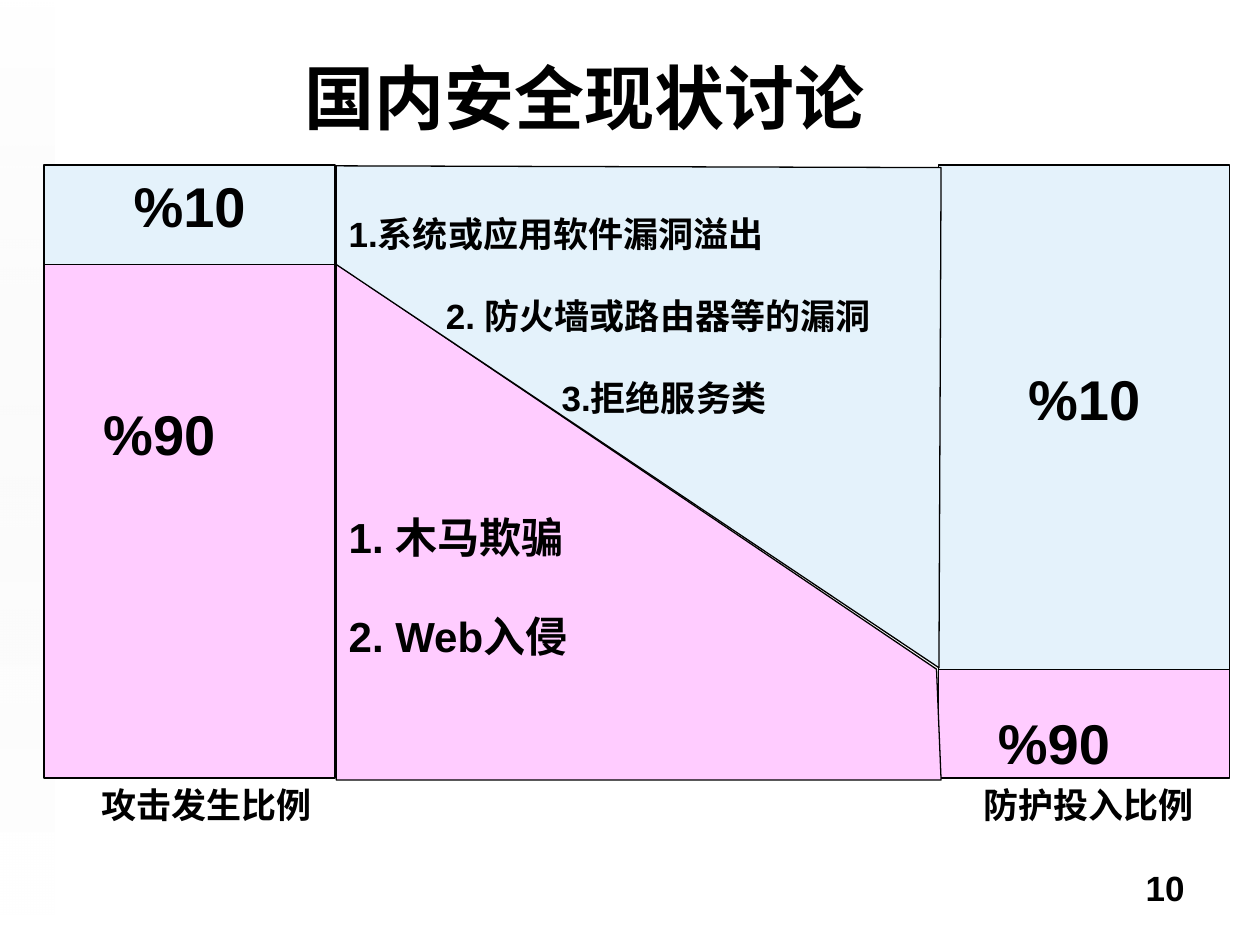
from pptx import Presentation
from pptx.dml.color import RGBColor
from pptx.enum.shapes import MSO_SHAPE
from pptx.enum.text import MSO_ANCHOR, PP_ALIGN
from pptx.oxml.ns import qn
from pptx.util import Pt
from lxml import etree

RECT = MSO_SHAPE.RECTANGLE
TOP, MIDDLE = MSO_ANCHOR.TOP, MSO_ANCHOR.MIDDLE
LEFT, CENTER, RIGHT = PP_ALIGN.LEFT, PP_ALIGN.CENTER, PP_ALIGN.RIGHT
HEX = {"ink": "000000", "blue": "E4F2FB", "pink": "FFCCFF",
       "gray": "EAEAEA", "white": "FFFFFF"}
RGB = {name: RGBColor.from_string(code) for name, code in HEX.items()}

TITLE = "国内安全现状讨论"
PAGE = "10"
HEAD, FOOT = 94.3, 444.6      # top and bottom of both columns
WIDE = 166.3
# left edge, split height, then (label, align, indent, top inset) per part
COLUMNS = [
    (25.2, 151.2, [("%10", CENTER, 0, 3.6), ("%90", LEFT, 26.7, 77.2)]),
    (536.4, 382.6, [("%10", CENTER, 0, 114), ("%90", LEFT, 26.7, 22)]),
]
CAPTIONS = [("攻击发生比例", 118), ("防护投入比例", 622)]   # text, centre
# fill, corners, text size, top inset, gap, (text, indent) lines
BANDS = [
    ("pink", [(192.2, 150.8), (192.2, 445.7), (537.8, 445.7), (535.2, 382.4)],
     24, 141.6, 27.6, [("1. 木马欺骗", 0), ("2. Web入侵", 0)]),
    ("blue", [(192.2, 94.8), (537.8, 95.8), (536.6, 381.6), (192.2, 151.2)],
     20, 26.6, 23, [("1.系统或应用软件漏洞溢出", 0),
                    ("2. 防火墙或路由器等的漏洞", 55.5),
                    ("3.拒绝服务类", 121.7)]),
]


def write(shape, lines, size, align=LEFT, top=3.6, gap=0, anchor=TOP):
    """Fill a shape with (text, indent) lines, gap points apart."""
    frame = shape.text_frame
    form = {"word_wrap": True, "vertical_anchor": anchor,
            "margin_left": Pt(7.2), "margin_right": Pt(7.2),
            "margin_top": Pt(top), "margin_bottom": Pt(3.6)}
    for key, value in form.items():
        setattr(frame, key, value)
    for i, (text, indent) in enumerate(lines):
        para = frame.add_paragraph() if i else frame.paragraphs[0]
        para.alignment = align
        para.space_before = Pt(gap if i else 0)
        if indent:
            para._p.get_or_add_pPr().set("marL", str(Pt(indent)))
        run = para.add_run()
        run.text = text
        for key, value in {"name": "Arial", "size": Pt(size), "bold": True}.items():
            setattr(run.font, key, value)
        run.font.color.rgb = RGB["ink"]


def paint(shape, color):
    shape.shadow.inherit = False
    shape.fill.solid()
    shape.fill.fore_color.rgb = RGB[color]
    shape.line.color.rgb = RGB["ink"]
    shape.line.width = Pt(0.75)


def place(*box):
    return [Pt(v) for v in box]


def add_strip(shapes):
    """Add the faint fading strip on the left edge."""
    strip = shapes.add_shape(RECT, *place(0, 0, 31, 522.7))
    strip.rotation = 180
    strip.shadow.inherit = False
    strip.line.fill.background()
    strip.fill.gradient()
    strip.fill.gradient_angle = 90
    for stop, color, alpha in zip(strip.fill.gradient_stops,
                                  ("gray", "white"), (0, 65000)):
        stop.color.rgb = RGB[color]
        node = stop._gs.find(qn("a:srgbClr"))
        etree.SubElement(node, qn("a:alpha")).set("val", str(alpha))


def main():
    deck = Presentation()
    deck.slide_width, deck.slide_height = Pt(720), Pt(540)
    slide = deck.slides.add_slide(deck.slide_layouts[5])
    shapes = slide.shapes
    add_strip(shapes)

    title = shapes.title
    title.left, title.top, title.width, title.height = place(19.4, 20.2, 629.3, 69.8)
    write(title, [(TITLE, 0)], 40, CENTER, anchor=MIDDLE)

    for text, mid in CAPTIONS:
        box = shapes.add_textbox(*place(mid - 80, 444, 160, 36))
        write(box, [(text, 0)], 20, CENTER)
    page = shapes.add_textbox(*place(516.2, 491.8, 167.8, 37.4))
    write(page, [(PAGE, 0)], 20, RIGHT)

    for left, split, parts in COLUMNS:
        spans = [(HEAD, split), (split, FOOT)]
        for color, (top, end), part in zip(("blue", "pink"), spans, parts):
            label, align, indent, inset = part
            rect = shapes.add_shape(RECT, *place(left, top, WIDE, end - top))
            paint(rect, color)
            write(rect, [(label, indent)], 32, align, inset)

    for color, corners, size, inset, gap, lines in BANDS:
        points = [place(*corner) for corner in corners]
        pen = shapes.build_freeform(*points[0])
        pen.add_line_segments(points[1:], close=True)
        band = pen.convert_to_shape()
        paint(band, color)
        write(band, lines, size, LEFT, inset, gap)

    deck.save("out.pptx")


if __name__ == "__main__":
    main()
